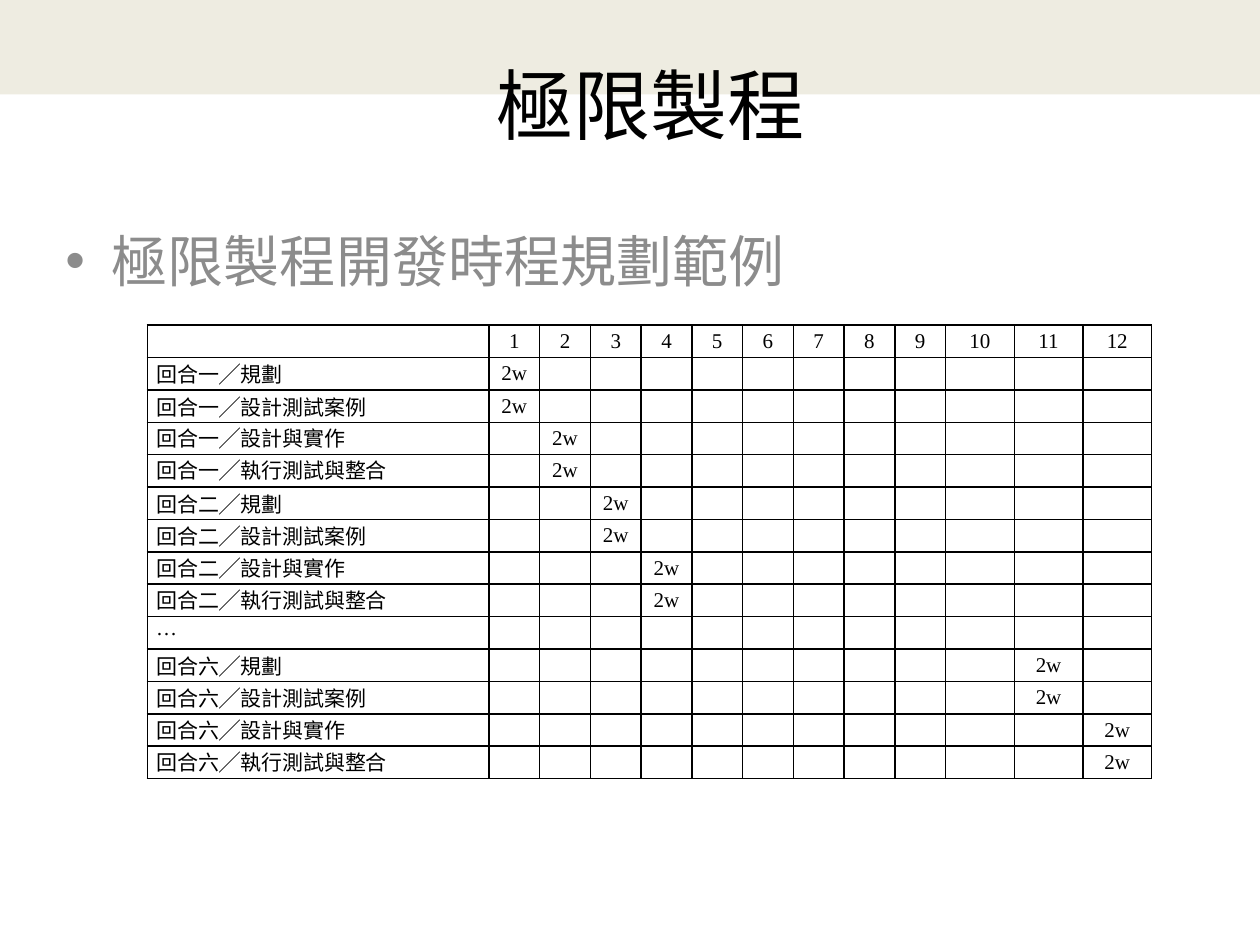
from lxml import etree
from pptx import Presentation
from pptx.dml.color import RGBColor
from pptx.enum.shapes import MSO_SHAPE
from pptx.enum.text import MSO_ANCHOR, PP_ALIGN
from pptx.oxml.ns import qn
from pptx.util import Inches, Pt

RECTANGLE = MSO_SHAPE.RECTANGLE
TOP, MIDDLE = MSO_ANCHOR.TOP, MSO_ANCHOR.MIDDLE
LEFT, CENTER, JUSTIFY = PP_ALIGN.LEFT, PP_ALIGN.CENTER, PP_ALIGN.JUSTIFY
TITLE_ONLY = 5

GRID = 0.1  # inches per grid unit: 100 columns by 75 rows
MONTHS = 12
ROUNDS = [("回合一", 1), ("回合二", 3), None, ("回合六", 11)]
TASKS = ["規劃", "設計測試案例", "設計與實作", "執行測試與整合"]
COLUMN_WIDTHS = [27.1] + [4.03] * 9 + [5.45] * 3


def units(count):
    return Inches(count * GRID)


def color(hex_text):
    return RGBColor.from_string(hex_text)


def schedule_rows():
    """Return (label, month of the 2w mark, alignment, anchor) for each row."""
    rows = []
    for entry in ROUNDS:
        if entry is None:
            rows.append(("…", None, LEFT, TOP))
            continue
        name, start = entry
        for index, task in enumerate(TASKS):
            # Each half of a round takes one month.
            half = index // 2
            style = (LEFT, TOP) if half else (JUSTIFY, MIDDLE)
            rows.append((f"{name}╱{task}", start + half, *style))
    return rows


class SlideBuilder:
    heading_font = "Calibri"
    table_font = "Times New Roman"
    ink = "000000"
    muted = "8C8C8C"
    band_fill = "EEECE1"

    def __init__(self, deck):
        self.slide = deck.slides.add_slide(deck.slide_layouts[TITLE_ONLY])

    def add_span(self, para, text, font, size, ink):
        span = para.add_run()
        span.text = text
        span.font.name = font
        span.font.size = Pt(size)
        span.font.color.rgb = color(ink)

    def band(self, left, top, width, height):
        box = self.slide.shapes.add_shape(RECTANGLE, *map(units, (left, top, width, height)))
        box.shadow.inherit = False
        box.fill.solid()
        box.fill.fore_color.rgb = color(self.band_fill)
        box.line.fill.background()
        # Behind the title: first after the two group property elements.
        self.slide.shapes._spTree.insert(2, box._element)

    def title(self, text, left, top, width, height):
        box = self.slide.shapes.title
        box.left, box.top, box.width, box.height = map(units, (left, top, width, height))
        box.text_frame.vertical_anchor = MIDDLE
        para = box.text_frame.paragraphs[0]
        para.alignment = CENTER
        self.add_span(para, text, self.heading_font, 44, self.ink)

    def bullet(self, text, left, top, width, height):
        box = self.slide.shapes.add_textbox(*map(units, (left, top, width, height)))
        box.text_frame.word_wrap = True
        para = box.text_frame.paragraphs[0]
        para.space_before = Pt(6.4)
        self.add_span(para, text, self.heading_font, 32, self.muted)
        properties = para._p.get_or_add_pPr()
        properties.set("marL", str(Inches(0.37)))
        properties.set("indent", str(-Inches(0.37)))
        etree.SubElement(properties, qn("a:buFont"), typeface="Arial")
        etree.SubElement(properties, qn("a:buChar"), char="•")

    def cell(self, cell, text="", alignment=CENTER, anchor=MIDDLE):
        cell.margin_left = cell.margin_right = Inches(0.07)
        cell.margin_top = cell.margin_bottom = 0
        cell.vertical_anchor = anchor
        para = cell.text_frame.paragraphs[0]
        para.alignment = alignment
        if text:
            self.add_span(para, text, self.table_font, 12, self.ink)
        else:
            # Keeps empty cells from stretching the row.
            etree.SubElement(para._p, qn("a:endParaRPr"), sz="1200")
        self.borders(cell)
        cell.fill.background()

    def borders(self, cell):
        properties = cell._tc.get_or_add_tcPr()
        for side in ("lnL", "lnR", "lnT", "lnB"):
            line = etree.SubElement(properties, qn(f"a:{side}"), w=str(Pt(1)))
            fill = etree.SubElement(line, qn("a:solidFill"))
            etree.SubElement(fill, qn("a:srgbClr"), val=self.ink)

    def schedule(self, rows, left, top, widths, height):
        frame = self.slide.shapes.add_table(
            len(rows) + 1, len(widths), *map(units, (left, top, sum(widths), height)))
        table = frame.table
        table.first_row = table.horz_banding = False
        for column, width in zip(table.columns, widths):
            column.width = units(width)
        self.cell(table.cell(0, 0))
        for month in range(1, MONTHS + 1):
            self.cell(table.cell(0, month), str(month))
        for index, (label, marked, alignment, anchor) in enumerate(rows, 1):
            self.cell(table.cell(index, 0), label, alignment, anchor)
            for month in range(1, MONTHS + 1):
                self.cell(table.cell(index, month), "2w" if month == marked else "")


def main():
    deck = Presentation()
    deck.slide_width, deck.slide_height = units(100), units(75)
    builder = SlideBuilder(deck)
    builder.band(0, 0, 100, 7.5)
    builder.title("極限製程", 14.1, 1.6, 75.1, 13.3)
    builder.bullet("極限製程開發時程規劃範例", 4.2, 17.5, 93.1, 51.5)
    builder.schedule(schedule_rows(), 11.7, 25.8, COLUMN_WIDTHS, 36)
    deck.save("out.pptx")


if __name__ == "__main__":
    main()
